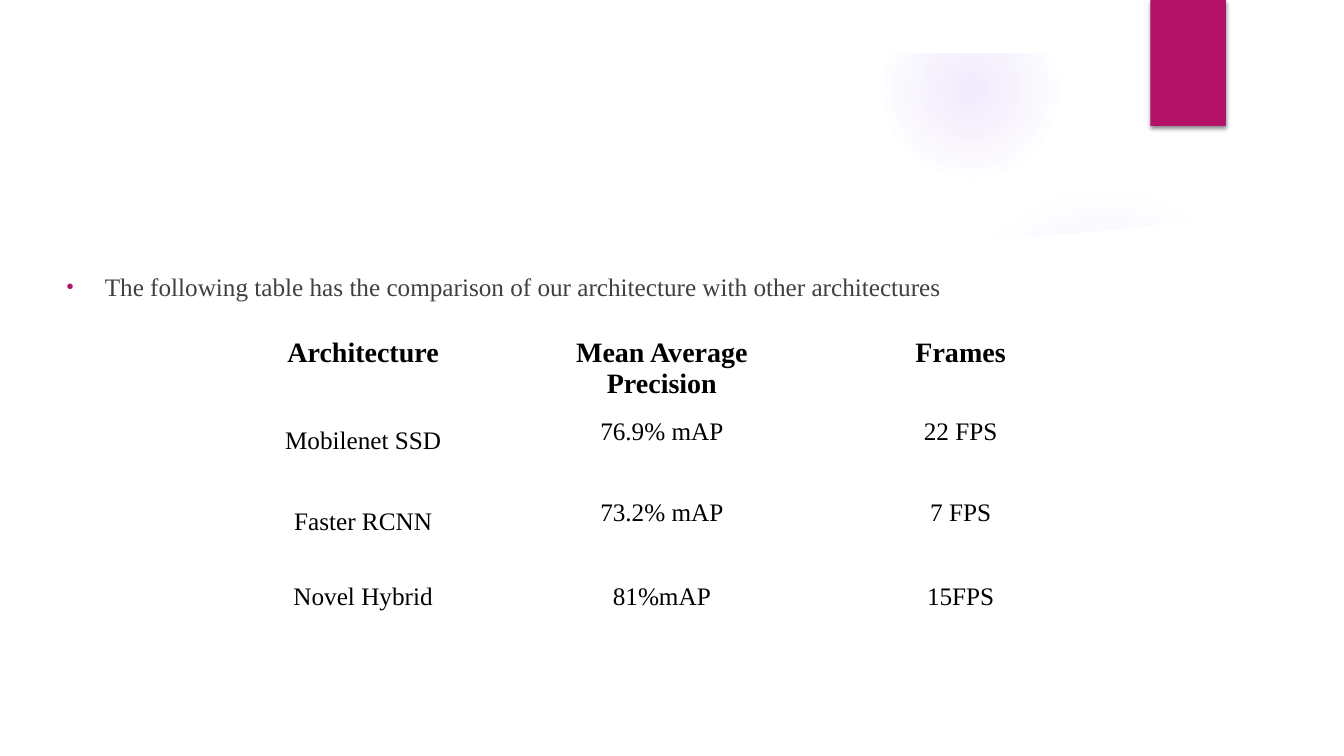
from pptx import Presentation
from pptx.dml.color import RGBColor
from pptx.enum.shapes import MSO_SHAPE as Shape
from pptx.enum.text import MSO_ANCHOR as Anchor, MSO_AUTO_SIZE as Fit, PP_ALIGN as Align
from pptx.oxml import parse_xml
from pptx.oxml.ns import nsdecls
from pptx.util import Inches, Pt

WHITE = RGBColor(0xFF, 0xFF, 0xFF)
BLACK = RGBColor(0, 0, 0)
GRAY = RGBColor(0x40, 0x40, 0x40)
PINK = RGBColor(0xB3, 0x11, 0x66)
LILAC = RGBColor(0x9B, 0x6B, 0xF2)
FONT = "Times New Roman"
NS = nsdecls("a")


def paint(shape, color):
    shape.shadow.inherit = False
    shape.fill.solid()
    shape.fill.fore_color.rgb = color
    shape.line.fill.background()


def style(run, size, color, bold=False):
    run.font.name = FONT
    run.font.size = Pt(size)
    run.font.color.rgb = color
    run.font.bold = bold


prs = Presentation()
prs.slide_width, prs.slide_height = Inches(13.33), Inches(7.5)
slide = prs.slides.add_slide(prs.slide_layouts[1])
shapes = slide.shapes
title = shapes.title._element
title.getparent().remove(title)

# Soft glows: left, top, size and gradient stops (position, opacity in percent)
glows = [
    (9.41, 1.83, 3.08, [(0, 7), (36, 6), (69, 0)]),
    (8.75, 0.01, 1.75, [(0, 14), (36, 7), (73, 0)]),
]
for left, top, size, stops in glows:
    glow = shapes.add_shape(Shape.OVAL, Inches(left), Inches(top), Inches(size), Inches(size))
    paint(glow, LILAC)
    marks = "".join(
        f'<a:gs pos="{pos * 1000}"><a:srgbClr val="{LILAC}">'
        f'<a:alpha val="{alpha * 1000}"/></a:srgbClr></a:gs>'
        for pos, alpha in stops
    )
    solid = glow._element.spPr.find("{*}solidFill")
    solid.getparent().replace(solid, parse_xml(
        f'<a:gradFill {NS}><a:gsLst>{marks}</a:gsLst><a:path path="circle">'
        '<a:fillToRect l="50000" t="50000" r="50000" b="50000"/></a:path></a:gradFill>'))

# White sheet with a curved top edge
curve = [(12.84, 2.04), (12.28, 2.13), (11.72, 2.2), (11.16, 2.27), (10.6, 2.32),
         (10.04, 2.37), (9.49, 2.41), (8.94, 2.44), (8.4, 2.46), (7.6, 2.47),
         (6.82, 2.48), (6.07, 2.47), (5.35, 2.45), (4.44, 2.41), (3.6, 2.36),
         (2.83, 2.3), (2.16, 2.24), (1.59, 2.18), (1.13, 2.12), (0.5, 2.04)]
outline = shapes.build_freeform(Inches(0.5), Inches(7), scale=1.0)
outline.add_line_segments(
    [(Inches(x), Inches(y)) for x, y in [(12.84, 7)] + curve], close=True)
paint(outline.convert_to_shape(), WHITE)

frame = shapes.add_shape(Shape.FRAME, 0, 0, prs.slide_width, prs.slide_height)
frame.adjustments[0] = 0.07
paint(frame, WHITE)

tab = shapes.add_shape(Shape.RECTANGLE, Inches(11.41), 0, Inches(0.75), Inches(1.25))
paint(tab, PINK)
tab._element.spPr.find("{*}effectLst").append(parse_xml(
    f'<a:outerShdw {NS} blurRad="38100" dist="25400" dir="5400000" rotWithShape="0">'
    '<a:srgbClr val="000000"><a:alpha val="45000"/></a:srgbClr></a:outerShdw>'))

# Bulleted lead-in, brought in front of the white sheet
body = slide.placeholders[1]
body.left, body.top, body.width, body.height = map(Inches, (0.56, 2.64, 12.23, 4.5))
shapes._spTree.append(body._element)
frame = body.text_frame
frame.text = "The following table has the comparison of our architecture with other architectures"
frame.auto_size = Fit.NONE
frame.vertical_anchor = Anchor.TOP
lead = frame.paragraphs[0]
lead.space_before = Pt(10)
style(lead.runs[0], 18, GRAY)
props = lead._p.get_or_add_pPr()
props.set("marL", str(Inches(0.38)))
props.set("indent", str(Inches(-0.38)))
for mark in (f'<a:buClr {NS}><a:srgbClr val="{PINK}"/></a:buClr>',
             f'<a:buSzPct {NS} val="80000"/>',
             f'<a:buFont {NS} typeface="Arial"/>',
             f'<a:buChar {NS} char="•"/>'):
    props.append(parse_xml(mark))

# Comparison: top, row height and rows of each table
tables = [
    (3.3, 0.8, [("Architecture", "Mean Average Precision", "Frames"),
                ("Mobilenet SSD", "76.9% mAP", "22 FPS"),
                ("Faster RCNN", "73.2% mAP", "7 FPS")]),
    (5.73, 0.77, [("Novel Hybrid", "81%mAP", "15FPS")]),
]
for top, height, rows in tables:
    table = shapes.add_table(len(rows), 3, Inches(2.12), Inches(top),
                             Inches(8.89), Inches(height * len(rows))).table
    table.first_row = table.horz_banding = False
    for r, row in enumerate(rows):
        table.rows[r].height = Inches(height)
        for c, text in enumerate(row):
            cell = table.cell(r, c)
            cell.fill.background()
            cell.text_frame.text = text
            para = cell.text_frame.paragraphs[0]
            para.alignment = Align.CENTER
            head = text in tables[0][2][0]
            style(para.runs[0], 20 if head else 18, BLACK, head)
            if r > 0 and c == 0:
                para.line_spacing = 1.5
                cell.margin_left = cell.margin_right = Inches(0.07)
                cell.margin_top = cell.margin_bottom = 0

prs.save("out.pptx")
